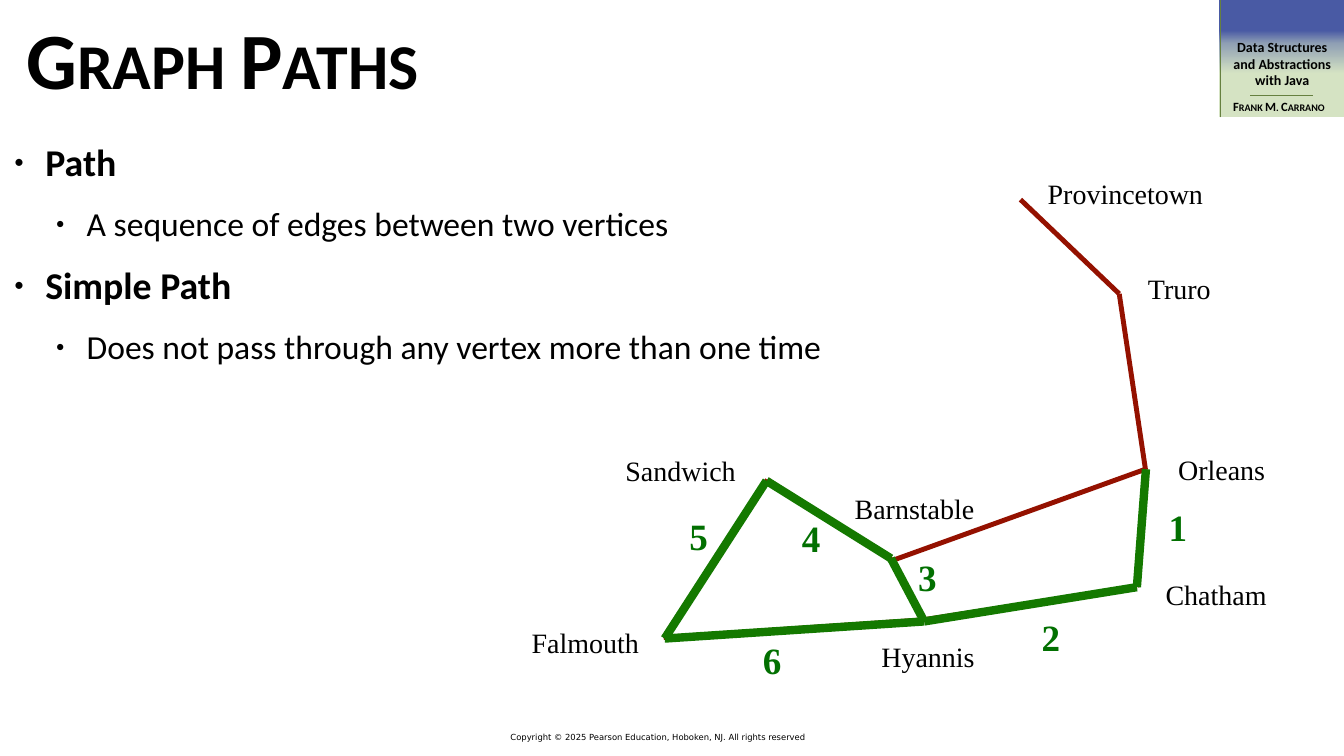
from copy import deepcopy
from itertools import pairwise
from lxml.etree import SubElement
from pptx import Presentation
from pptx.dml.color import RGBColor
from pptx.enum.shapes import MSO_CONNECTOR, MSO_SHAPE
from pptx.enum.text import MSO_ANCHOR, PP_ALIGN
from pptx.oxml.ns import qn
from pptx.util import Inches, Pt

COLS, ROWS = 26.67, 15
CELL = Inches(1)
BLACK, BRICK, GREEN, INK, OLIVE = "000000", "941100", "147900", "027001", "668040"

deck = Presentation()
deck.slide_width, deck.slide_height = int(COLS * CELL), int(ROWS * CELL)
slide = deck.slides.add_slide(deck.slide_layouts[6])
shapes = slide.shapes


def write(lines, place, form, hue=BLACK, wrap=True, align=PP_ALIGN.LEFT, pad=(0.08, 0.08)):
    box = shapes.add_textbox(*[int(n * CELL) for n in place])
    frame = box.text_frame
    side, edge = [int(n * CELL) for n in pad]
    looks = {"word_wrap": wrap, "vertical_anchor": MSO_ANCHOR.MIDDLE,
             "margin_left": side, "margin_right": side,
             "margin_top": edge, "margin_bottom": edge}
    for key, value in looks.items():
        setattr(frame, key, value)
    frame.text = "\n".join(lines)
    for para in frame.paragraphs:
        para.alignment = align
        for run in para.runs:
            for key, value in form.items():
                setattr(run.font, key, value)
            run.font.color.rgb = RGBColor.from_string(hue)
    return box


def draw(start, end, hue, width):
    line = shapes.add_connector(MSO_CONNECTOR.STRAIGHT, *[int(n * CELL) for n in start + end])
    line.line.color.rgb = RGBColor.from_string(hue)
    line.line.width = Pt(width)
    SubElement(line.element.spPr, qn("a:effectLst"))


badge = shapes.add_shape(MSO_SHAPE.RECTANGLE, *[int(n * CELL) for n in (24.19, 0, 2.48, 2.33)])
badge.shadow.inherit = False
badge.line.fill.background()
badge.fill.gradient()
badge.fill.gradient_angle = 270
stops = badge.element.spPr.find(".//" + qn("a:gsLst"))
stops.append(deepcopy(stops[-1]))
for stop, (spot, hue) in zip(badge.fill.gradient_stops,
                             [(0.26, "495AA4"), (0.37, "8F9FB4"), (0.63, "D5E3C3")]):
    stop.position = spot
    stop.color.rgb = RGBColor.from_string(hue)

bold = {"name": "Calibri", "bold": True}
write(["Data Structures", "and Abstractions", "with Java"], (24.29, 0.7, 2.31, 1.12),
      {**bold, "size": Pt(20)}, align=PP_ALIGN.CENTER)
name = write(["Frank M. Carrano"], (24.09, 1.88, 2.58, 0.47),
             {**bold, "size": Pt(18)}, align=PP_ALIGN.CENTER)
draw((24.81, 1.9), (26.06, 1.9), OLIVE, 1)
draw((24.21, 2.33), (24.21, 0), OLIVE, 1)
write(["Copyright © 2025 Pearson Education, Hoboken, NJ. All rights reserved"],
      (10.13, 14.51, 6.77, 0.24), {"name": "DejaVu Sans", "size": Pt(12)}, pad=(0, 0.02))
title = write(["Graph Paths"], (0.44, 0, 23.6, 2.29), {**bold, "size": Pt(114)})
for box in (name, title):
    for mark in box.element.iter(qn("a:rPr")):
        mark.set("cap", "small")

points = ["Path", "A sequence of edges between two vertices",
          "Simple Path", "Does not pass through any vertex more than one time"]
body = write(points, (0.2, 2.67, 17.75, 7.49), {"name": "Calibri"})
body.text_frame.vertical_anchor = MSO_ANCHOR.TOP
for rank, para in enumerate(body.text_frame.paragraphs):
    level = rank % 2
    left, hang, size = [(0.62, 0.62, 54), (1.44, 0.61, 48)][level]
    para.level = level
    props = para.runs[0].font
    props.size, props.bold = Pt(size), level == 0
    if rank:
        para.space_before = Pt(27)
    dent = para._p.get_or_add_pPr()
    dent.set("marL", str(int(left * CELL)))
    dent.set("indent", str(int(-hang * CELL)))
    SubElement(dent, qn("a:buSzPct"), val="53000")
    SubElement(dent, qn("a:buFont"), typeface="Calibri")
    SubElement(dent, qn("a:buChar"), char="•")

towns = {"Provincetown": (20.25, 3.96), "Truro": (22.21, 5.83), "Orleans": (22.73, 9.31),
         "Chatham": (22.56, 11.65), "Barnstable": (17.71, 11.12), "Hyannis": (18.31, 12.3),
         "Sandwich": (15.23, 9.52), "Falmouth": (13.17, 12.65)}
roads = [("Sandwich", "Barnstable"), ("Hyannis", "Falmouth"), ("Barnstable", "Hyannis"),
         ("Orleans", "Barnstable"), ("Chatham", "Hyannis"), ("Orleans", "Chatham"),
         ("Truro", "Orleans"), ("Provincetown", "Truro"), ("Sandwich", "Falmouth")]
for start, end in roads:
    draw(towns[start], towns[end], BRICK, 7)

route = [(22.74, 9.31), (22.56, 11.65), (18.34, 12.33), (17.68, 11.08),
         (15.21, 9.54), (13.19, 12.67), (18.34, 12.33)]
for start, end in pairwise(route):
    draw(start, end, GREEN, 12)

labels = [(20.71, 3.44, 3.27), (22.7, 5.33, 1.43), (23.3, 8.92, 1.91), (23.05, 11.39, 2.19),
          (16.88, 9.69, 2.56), (17.41, 12.63, 2.03), (12.33, 8.93, 2.37), (10.47, 12.35, 2.31)]
serif = {"name": "Times New Roman"}
for town, place in zip(towns, labels):
    write([town], place + (0.8,), {**serif, "size": Pt(40)}, wrap=False)

steps = [(23.11, 9.96), (20.59, 12.15), (18.14, 10.95), (15.83, 10.18), (13.6, 10.15), (15.06, 12.6)]
for count, place in enumerate(steps, 1):
    write([str(count)], place + (0.55, 0.97), {**serif, "size": Pt(53), "bold": True}, INK, False)

deck.save("out.pptx")
